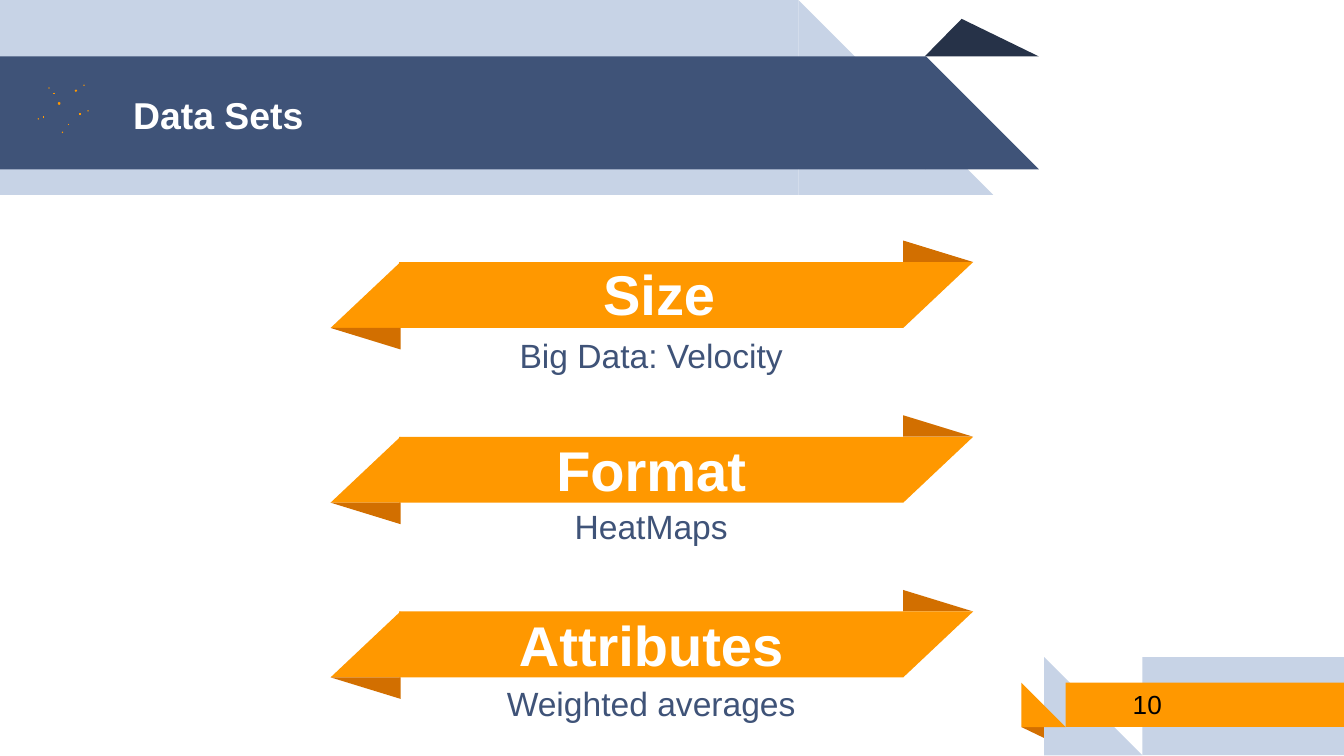
from pptx import Presentation
from pptx.dml.color import RGBColor as RGB
from pptx.enum.shapes import MSO_CONNECTOR as Link, MSO_SHAPE as Kind
from pptx.enum.text import MSO_ANCHOR as Anchor, MSO_AUTO_SIZE as Fit, PP_ALIGN as Align
from pptx.oxml.ns import qn
from pptx.util import Inches, Pt
from lxml.etree import SubElement

THEME = {
    "navy": RGB.from_string("3F5378"),
    "dark": RGB.from_string("263248"),
    "pale": RGB.from_string("C7D3E6"),
    "gold": RGB.from_string("FF9800"),
    "rust": RGB.from_string("D26F00"),
    "head": {"size": Pt(20), "bold": True, "color": "FFFFFF"},
    "label": {"size": Pt(30), "bold": True, "color": "FFFFFF"},
    "note": {"size": Pt(18), "bold": False, "color": "3F5378"},
    "page": {"size": Pt(14), "bold": False, "color": "000000"},
}
RECT, WEDGE, PEAK = Kind.RECTANGLE, Kind.RIGHT_TRIANGLE, Kind.ISOSCELES_TRIANGLE

# A 16:9 slide, ten inches wide
deck = Presentation()
deck.slide_width, deck.slide_height = Inches(10), Inches(10 * 9 / 16)
slide = deck.slides.add_slide(deck.slide_layouts[5])
shapes = slide.shapes


def draw(kind, box, color, turn=0, flip=False, peak=None):
    shape = shapes.add_shape(kind, *map(Inches, box))
    shape.shadow.inherit = False
    shape.fill.solid()
    shape.fill.fore_color.rgb = THEME[color]
    shape.line.fill.background()
    shape.rotation = turn
    if flip:
        shape._element.spPr.xfrm.set("flipH", "1")
    if peak is not None:
        shape.adjustments[0] = peak


def write(shape, box, text, style, align=Align.LEFT, after=0):
    for name, value in zip(("left", "top", "width", "height"), box):
        setattr(shape, name, Inches(value))
    frame = shape.text_frame
    frame.text = text
    layout = {"word_wrap": True, "auto_size": Fit.NONE,
              "vertical_anchor": Anchor.MIDDLE}
    for side in ("left", "top", "right", "bottom"):
        layout["margin_" + side] = Inches(0.1)
    for name, value in layout.items():
        setattr(frame, name, value)
    line = frame.paragraphs[0]
    line.alignment, line.space_before, line.space_after = align, Pt(0), Pt(after)
    font = line.runs[0].font
    font.name = "Arial"
    for name, value in THEME[style].items():
        if name == "color":
            font.color.rgb = RGB.from_string(value)
        else:
            setattr(font, name, value)


# Header banner
draw(PEAK, (6.88, 0.14, 0.85, 0.28), "dark", peak=0.324)
for left, top, tall, color in ((5.94, 0, 1.45, "pale"), (6.89, 0.42, 0.84, "navy")):
    draw(RECT, (0, top, left, tall), color)
    draw(WEDGE, (left, top, tall, tall), color)

# Page number corner
draw(PEAK, (7.6, 5.41, 0.43, 0.14), "rust", turn=180, peak=0.324)
for left, top, wide, tall, color in ((8.5, 4.89, 1.5, 0.73, "pale"),
                                     (7.93, 5.08, 2.07, 0.33, "gold")):
    draw(RECT, (left, top, wide, tall), color)
    draw(WEDGE, (left - tall, top, tall, tall), color)

# Title, brought in front of the banner
title = shapes.title
shapes._spTree.append(title._element)
write(title, (0.89, 0.43, 5.75, 0.84), "Data Sets", "head")
write(shapes.add_textbox(0, 0, 0, 0), (8.33, 5.07, 1.63, 0.34), "10", "page")

# Spark icon: dots and short rays
for x, y, size in ((0.62, 0.63, 0.01), (0.36, 0.65, 0.01), (0.28, 0.88, 0.01),
                   (0.46, 0.98, 0.01), (0.65, 0.82, 0.01), (0.43, 0.76, 0.02)):
    draw(Kind.OVAL, (x, y, size, size), "gold")
for ends in ((0.4, 0.69, 0.4, 0.7), (0.56, 0.68, 0.57, 0.67), (0.6, 0.85, 0.59, 0.85),
             (0.51, 0.92, 0.51, 0.93), (0.32, 0.87, 0.33, 0.87)):
    ray = shapes.add_connector(Link.STRAIGHT, *map(Inches, ends))
    ray.line.color.rgb, ray.line.width = THEME["gold"], Pt(0.96)
    SubElement(ray._element.spPr, qn("a:effectLst"))

# Ribbons with their labels and notes
rows = (
    ("Size", (3.05, 1.94), "Big Data: Velocity", (2.44, 0.41)),
    ("Format", (2.99, 3.25), "HeatMaps", (3.73, 0.37)),
    ("Attributes", (2.99, 4.55), "Weighted averages", (5.05, 0.37)),
)
for i, (label, spot, note, span) in enumerate(rows):
    top = 1.95 + 1.3 * i
    draw(PEAK, (6.72, top - 0.16, 0.52, 0.16), "rust", peak=0)
    draw(RECT, (2.97, top, 3.75, 0.49), "gold")
    draw(WEDGE, (6.72, top, 0.52, 0.49), "gold", turn=180, flip=True)
    draw(WEDGE, (2.46, top, 0.52, 0.49), "gold", flip=True)
    draw(PEAK, (2.46, top + 0.49, 0.52, 0.16), "rust", turn=180, peak=0)
    write(shapes.add_textbox(0, 0, 0, 0), (*spot, 3.71, 0.48),
          label, "label", Align.CENTER)
    write(shapes.add_textbox(0, 0, 0, 0), (2.99, span[0], 3.71, span[1]),
          note, "note", Align.CENTER, after=10)

deck.save("out.pptx")
